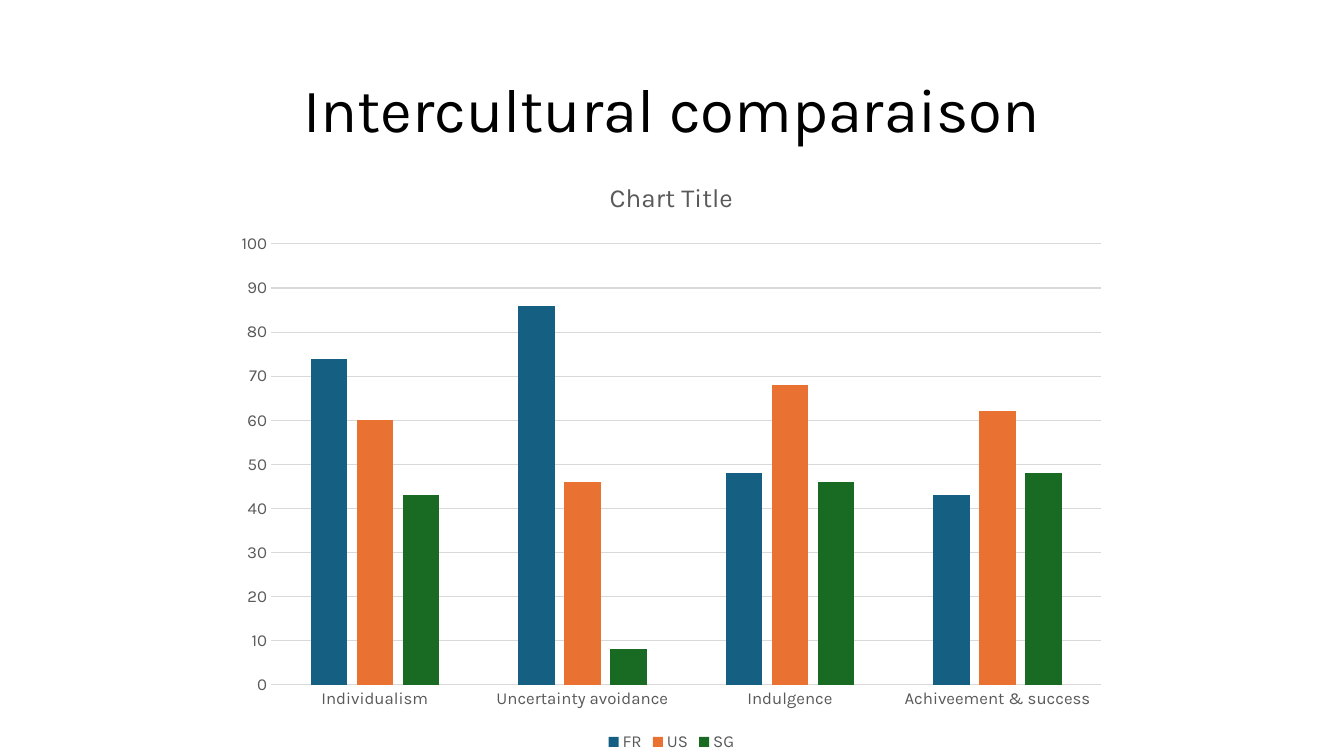
from pptx import Presentation
from pptx import util as u
from pptx.chart.data import CategoryChartData
from pptx.dml.color import RGBColor
from pptx.enum import chart as ch, text

PX = 9525  # EMU per px, 96 px to the inch
FONT = "Karla"
COLORS = {"title": "000000", "label": "595959", "grid": "D9D9D9",
          "FR": "156082", "US": "E97132", "SG": "196B24"}
SCORES = {"FR": (74, 86, 48, 43), "US": (60, 46, 68, 62), "SG": (43, 8, 46, 48)}


def set_font(font, size, color):
    font.name, font.size, font.bold = FONT, u.Pt(size), False
    font.color.rgb = RGBColor.from_string(COLORS[color])


def set_line(line):
    line.width = u.Pt(0.75)
    line.color.rgb = RGBColor.from_string(COLORS["grid"])


prs = Presentation()
prs.slide_width, prs.slide_height = 1280 * PX, 720 * PX
s = prs.slides.add_slide(prs.slide_layouts[5])

title = s.shapes.title
title.left, title.top, title.width, title.height = (v * PX for v in (88, 38, 1104, 139))
tf = title.text_frame
tf.text = "Intercultural comparaison"
tf.vertical_anchor = text.MSO_ANCHOR.MIDDLE
p = tf.paragraphs[0]
p.alignment = text.PP_ALIGN.CENTER
p.line_spacing = 0.9
set_font(p.font, 44, "title")

data = CategoryChartData()
data.categories = ["Individualism", "Uncertainty avoidance", "Indulgence",
                   "Achiveement & success"]
for country, values in SCORES.items():
    data.add_series(country, values)
chart = s.shapes.add_chart(ch.XL_CHART_TYPE.COLUMN_CLUSTERED,
                           *(v * PX for v in (213, 151, 853, 569)), data).chart
set_font(chart.font, 10, "title")

chart.has_title = True
chart.chart_title.include_in_layout = False
chart.chart_title.text_frame.text = "Chart Title"
set_font(chart.chart_title.text_frame.paragraphs[0].font, 18.6, "label")

chart.has_legend = True
chart.legend.position = ch.XL_LEGEND_POSITION.BOTTOM
chart.legend.include_in_layout = False
set_font(chart.legend.font, 12, "label")

for axis in (chart.category_axis, chart.value_axis):
    axis.major_tick_mark = axis.minor_tick_mark = ch.XL_TICK_MARK.NONE
    set_font(axis.tick_labels.font, 12, "label")
set_line(chart.category_axis.format.line)
chart.value_axis.format.line.fill.background()
chart.value_axis.minimum_scale, chart.value_axis.maximum_scale = 0, 100
chart.value_axis.major_unit = 10
chart.value_axis.has_major_gridlines = True
set_line(chart.value_axis.major_gridlines.format.line)

plot = chart.plots[0]
plot.gap_width, plot.overlap = 219, -27
plot.vary_by_categories = False
for series in plot.series:
    series.format.fill.solid()
    series.format.fill.fore_color.rgb = RGBColor.from_string(COLORS[series.name])

prs.save("out.pptx")
